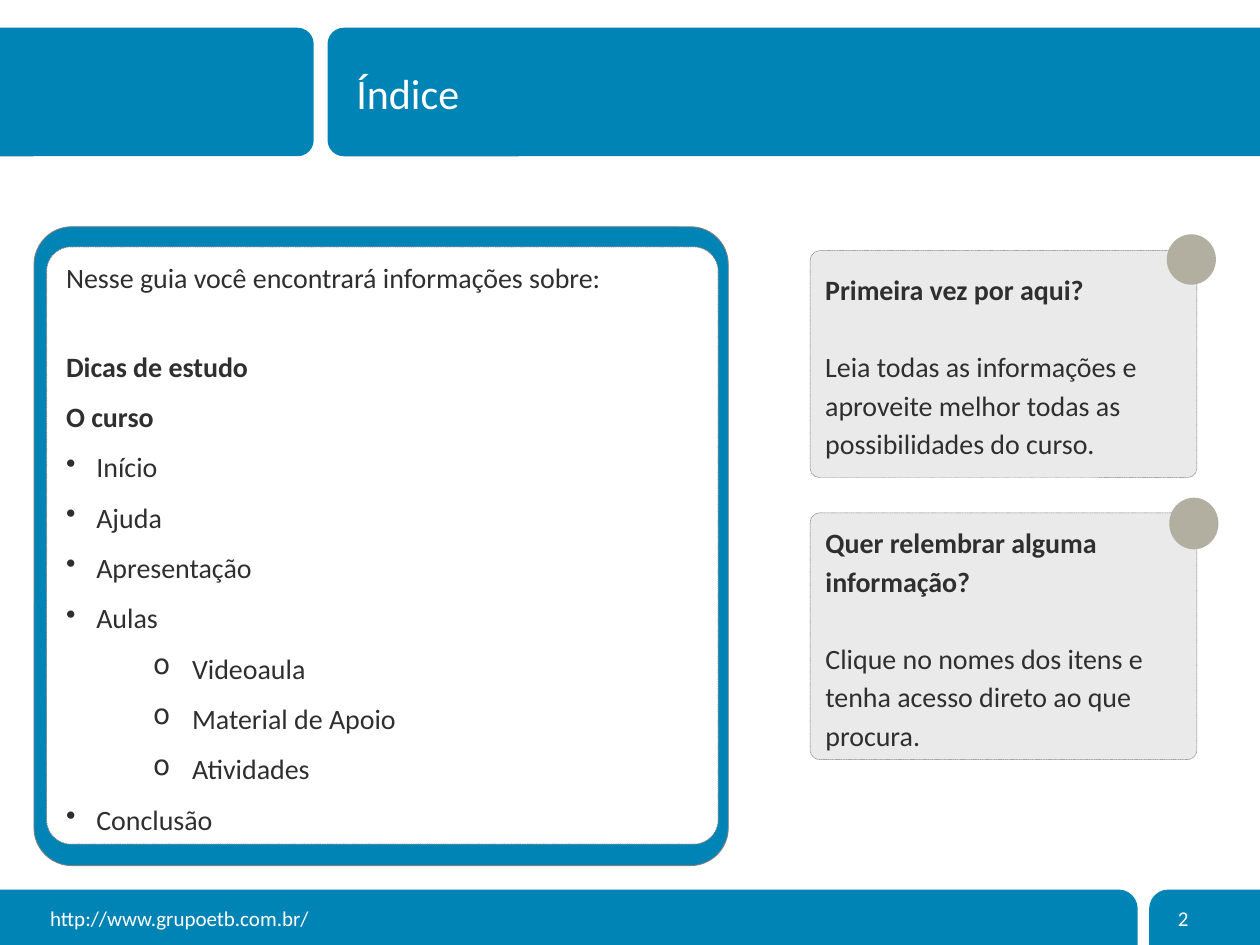
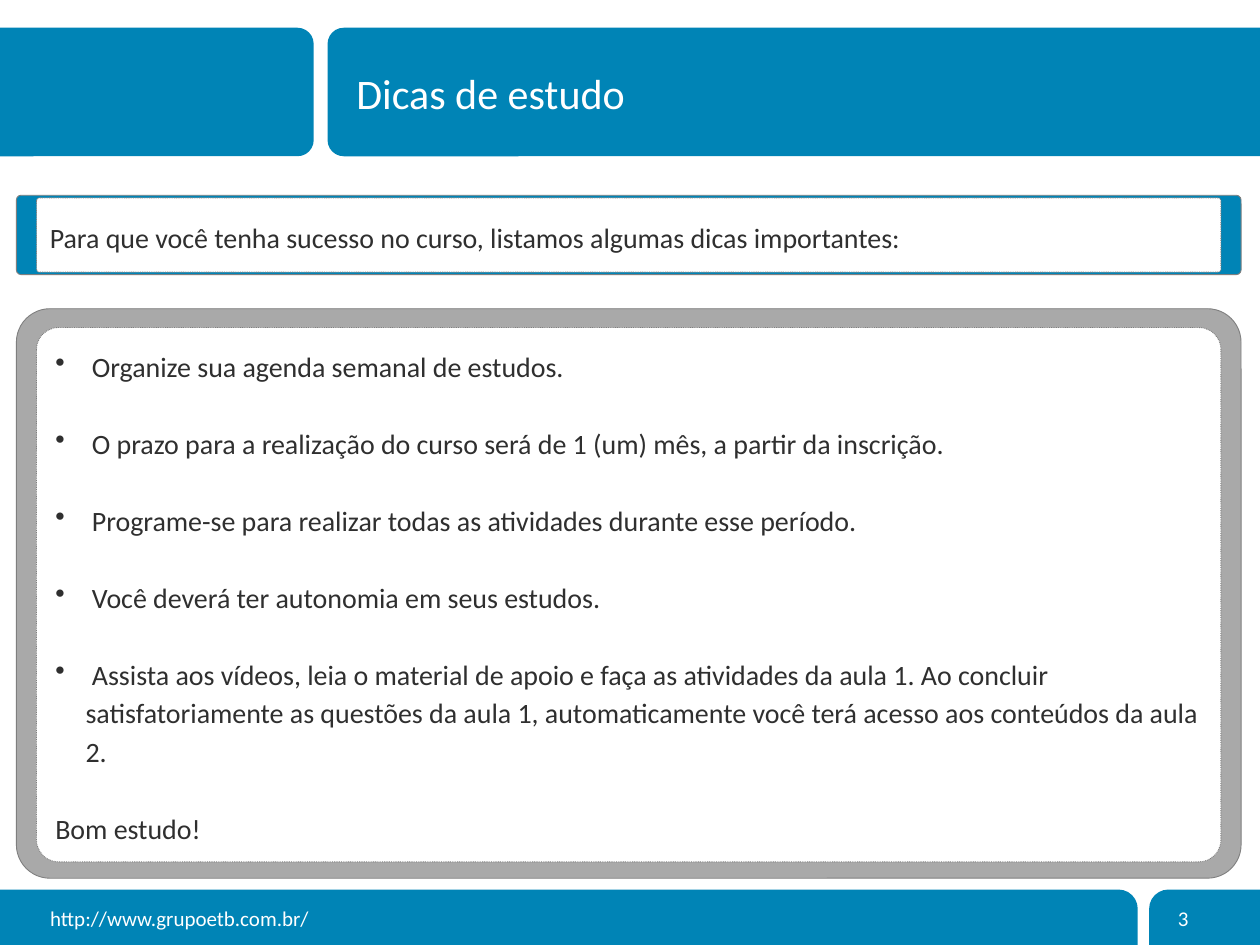
from lxml.etree import SubElement
from pptx import Presentation
from pptx.dml.color import RGBColor
from pptx.enum.dml import MSO_LINE
from pptx.enum.shapes import MSO_SHAPE as SHAPE
from pptx.enum.text import MSO_ANCHOR as ANCHOR, PP_ALIGN as ALIGN
from pptx.oxml.ns import qn
from pptx.util import Inches, Pt

COLORS = {
    "blue": "0084B6",
    "white": "FFFFFF",
    "text": "2F2F2F",
    "outline": "7F7F7F",
    "frame": "A9A9A9",
    "card": "EAEAEA",
    "dot": "B2AFA1",
}
FONT = "Calibri"
LINE = Pt(22)
BANDS = [
    (9.12, 7.06, 1.39, 1.21),
    (-0.18, 7.06, 9.21, 1.21),
    (2.6, 0.22, 7.6, 1.02),
    (-0.35, 0.22, 2.84, 1.02),
]
TITLES = ["Índice", "Dicas de estudo"]
SITE = "http://www.grupoetb.com.br/"


def add_panel(slide, box, fill, radius=None, line_width=None, dash=None):
    """Add a rounded panel, or an ellipse when no radius is given."""
    kind = SHAPE.OVAL if radius is None else SHAPE.ROUNDED_RECTANGLE
    panel = slide.shapes.add_shape(kind, *map(Inches, box))
    panel.shadow.inherit = False
    if radius is not None:
        panel.adjustments[0] = radius
    panel.fill.solid()
    panel.fill.fore_color.rgb = RGBColor.from_string(COLORS[fill])
    if line_width is None:
        panel.line.fill.background()
    else:
        panel.line.color.rgb = RGBColor.from_string(COLORS["outline"])
        panel.line.width = Pt(line_width)
        panel.line.dash_style = dash
    return panel


def write(shape, entries, size=16, color="text", anchor=ANCHOR.MIDDLE):
    """Fill a shape with (text, options); options are bold, bullet, indent, spacing, after."""
    frame = shape.text_frame
    frame.word_wrap = True
    frame.vertical_anchor = anchor
    for number, (text, options) in enumerate(entries):
        paragraph = frame.add_paragraph() if number else frame.paragraphs[0]
        paragraph.text = text
        paragraph.alignment = ALIGN.LEFT
        paragraph.line_spacing = options.get("spacing", LINE)
        paragraph.space_after = options.get("after", Pt(0))
        if "bullet" in options:
            margin, hanging = options["indent"]
            properties = paragraph._p.get_or_add_pPr()
            properties.set("marL", str(Inches(margin)))
            properties.set("indent", str(-Inches(hanging)))
            bullet_color = SubElement(properties, qn("a:buClr"))
            SubElement(bullet_color, qn("a:srgbClr"), val=COLORS[color])
            SubElement(properties, qn("a:buChar"), char=options["bullet"])
        paragraph.font.name = FONT
        paragraph.font.size = Pt(size)
        paragraph.font.bold = options.get("bold", False)
        paragraph.font.color.rgb = RGBColor.from_string(COLORS[color])


prs = Presentation()
prs.slide_width, prs.slide_height = Inches(10), Inches(7.5)

# Shared bands, title, site address and page number
slides = []
for page, title in enumerate(TITLES, start=2):
    slide = prs.slides.add_slide(prs.slide_layouts[6])
    for band in BANDS:
        add_panel(slide, band, "blue", 0.126)
    labels = [
        (title, (2.73, 0.52, 6.29, 0.43), 24, ANCHOR.MIDDLE),
        (SITE, (0.3, 7.14, 2.76, 0.3), 12, ANCHOR.TOP),
        (str(page), (9.25, 7.14, 0.59, 0.39), 12, ANCHOR.TOP),
    ]
    for text, box, size, anchor in labels:
        label = slide.shapes.add_textbox(*map(Inches, box))
        write(label, [(text, {"spacing": 1.0})], size, "white", anchor)
    slides.append(slide)
contents, tips = slides

# Contents: list of topics
heading = {"bold": True, "spacing": 1.5}
topic = {"bullet": "•", "indent": (0.24, 0.24), "spacing": 1.5}
subtopic = {"bullet": "o", "indent": (1, 0.31), "spacing": 1.5}
topics = [("Nesse guia você encontrará informações sobre:", {"after": LINE})]
for style, names in [
    (heading, ["Dicas de estudo", "O curso"]),
    (topic, ["Início", "Ajuda", "Apresentação", "Aulas"]),
    (subtopic, ["Videoaula", "Material de Apoio", "Atividades"]),
    (topic, ["Conclusão"]),
]:
    topics += [(name, style) for name in names]

# Study tips: bulleted advice and a closing line
tip = {"bullet": "•", "indent": (0.24, 0.24), "after": LINE}
advice = [(" " + text, tip) for text in [
    "Organize sua agenda semanal de estudos.",
    "O prazo para a realização do curso será de 1 (um) mês, a partir da inscrição.",
    "Programe-se para realizar todas as atividades durante esse período.",
    "Você deverá ter autonomia em seus estudos.",
    "Assista aos vídeos, leia o material de apoio e faça as atividades da aula 1. "
    "Ao concluir satisfatoriamente as questões da aula 1, automaticamente você terá "
    "acesso aos conteúdos da aula 2.",
]]
advice.append(("Bom estudo!", {}))
intro = [("Para que você tenha sucesso no curso, listamos algumas dicas importantes:", {})]

# Framed panels of both slides
for slide, outer, frame_color, inner, entries in [
    (contents, (0.27, 1.8, 5.51, 5.07), "blue", (0.37, 1.96, 5.33, 4.74), topics),
    (tips, (0.13, 2.45, 9.72, 4.52), "frame", (0.29, 2.6, 9.4, 4.24), advice),
    (tips, (0.13, 1.55, 9.72, 0.63), "blue", (0.29, 1.57, 9.4, 0.59), intro),
]:
    add_panel(slide, outer, frame_color, 0.059, 0.5)
    write(add_panel(slide, inner, "white", 0.041, 0.5, MSO_LINE.ROUND_DOT), entries)

# Contents: hint cards with a dot on the corner
for top, height, dot, question, answer in [
    (4.07, 1.96, (9.28, 3.95, 0.39, 0.41), "Quer relembrar alguma informação?",
     "Clique no nomes dos itens e tenha acesso direto ao que procura."),
    (1.99, 1.8, (9.26, 1.86, 0.39, 0.4), "Primeira vez por aqui?",
     "Leia todas as informações e aproveite melhor todas as possibilidades do curso."),
]:
    card = add_panel(contents, (6.43, top, 3.07, height), "card", 0.041, 0.25,
                     MSO_LINE.SQUARE_DOT)
    write(card, [(question, {"bold": True, "after": LINE}), (answer, {})])
    add_panel(contents, dot, "dot")

prs.save("out.pptx")
